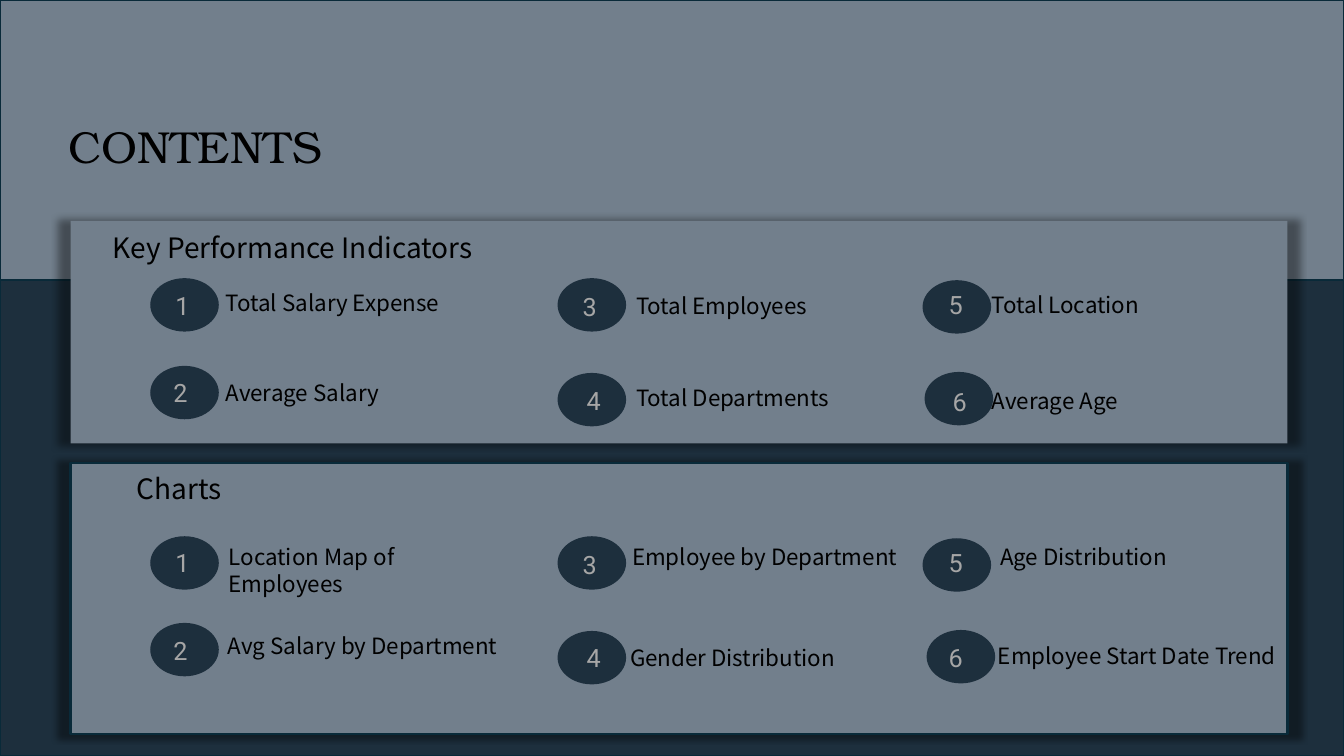
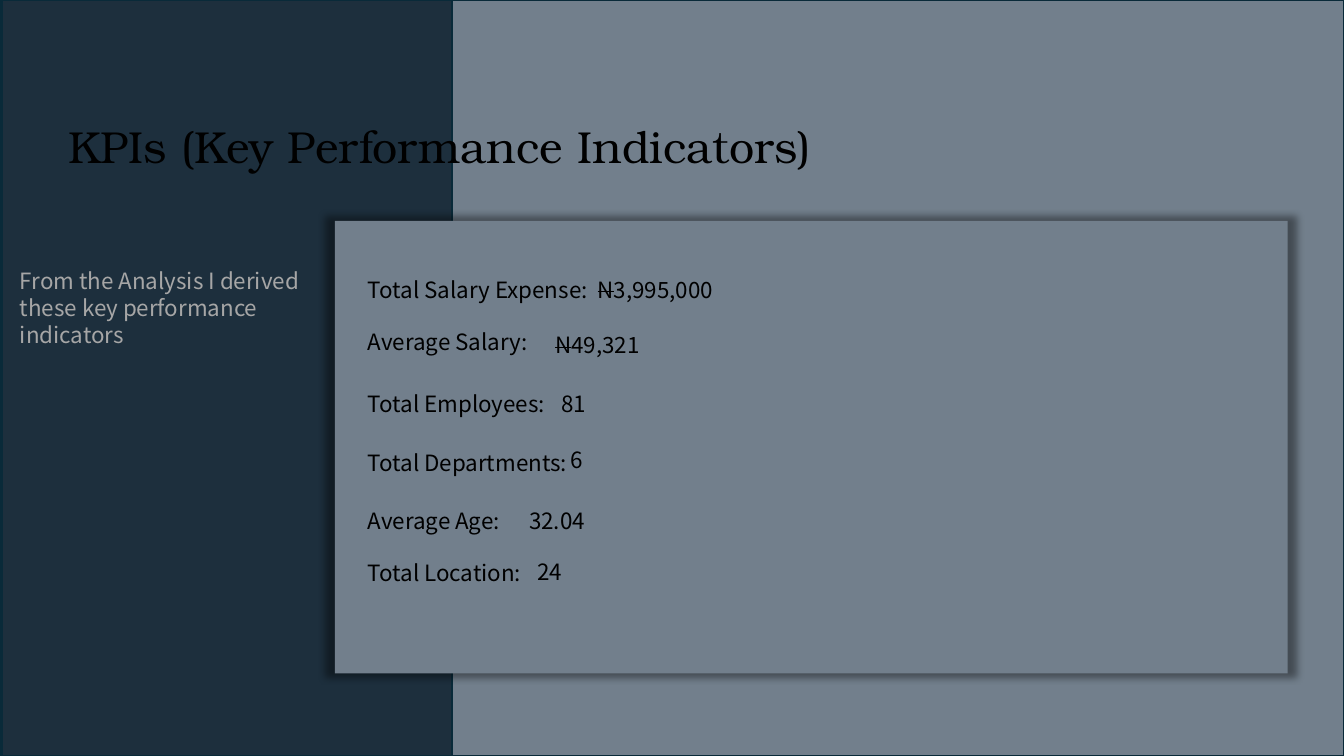
import typing
import lxml.etree
import pptx
import pptx.dml.color
import pptx.enum.shapes
import pptx.enum.text
import pptx.oxml.ns
import pptx.util

EMU_PER_PX = 9144
PAGE_WIDTH, PAGE_HEIGHT = 1333, 750
BADGE_WIDTH, BADGE_HEIGHT = 68, 53
DIGIT_WIDTH, DIGIT_HEIGHT = 42, 40
LABEL_HEIGHT = 37
HEADING_HEIGHT = 44
KPI_LEFT = 355

COLORS = {
    "slate": "727F8C",
    "navy": "1D2F3D",
    "outline": "092A39",
    "ink": "000000",
    "silver": "A6A6A6",
}
BODY_FONT = "Noto Sans CJK JP"
STYLES = {
    "title": ({"name": "TeX Gyre Bonum", "size": pptx.util.Pt(32)}, "ink"),
    "heading": ({"name": BODY_FONT, "size": pptx.util.Pt(20)}, "ink"),
    "label": ({"name": BODY_FONT, "size": pptx.util.Pt(16)}, "ink"),
    "aside": ({"name": BODY_FONT, "size": pptx.util.Pt(16)}, "silver"),
    "digit": ({"name": "Roboto", "size": pptx.util.Pt(18)}, "silver"),
}
SHADOW = {
    "blurRad": "63500",
    "sx": "102000",
    "sy": "102000",
    "algn": "ctr",
    "rotWithShape": "0",
}
RECTANGLE = pptx.enum.shapes.MSO_SHAPE.RECTANGLE
OVAL = pptx.enum.shapes.MSO_SHAPE.OVAL


class Frame(typing.NamedTuple):
    left: int
    top: int
    width: int
    height: int


class Entry(typing.NamedTuple):
    number: int
    badge: tuple[int, int]
    digit: tuple[int, int]
    label: tuple[int, int, int]
    text: str


class Indicator(typing.NamedTuple):
    name: str
    top: int
    width: int
    value: str
    value_left: int
    value_top: int
    value_width: int
    currency: str = ""


KPI_ENTRIES = [
    Entry(1, (149, 276), (164, 283), (214, 282, 266), "Total Salary Expense"),
    Entry(2, (149, 363), (162, 369), (214, 371, 220), "Average Salary"),
    Entry(3, (553, 276), (568, 284), (621, 285, 245), "Total Employees"),
    Entry(4, (553, 370), (572, 377), (621, 376, 265), "Total Departments"),
    Entry(5, (915, 278), (931, 282), (974, 284, 353), "Total Location"),
    Entry(6, (917, 369), (935, 378), (974, 379, 353), "Average Age"),
]
CHART_ENTRIES = [
    Entry(1, (149, 532), (164, 538), (217, 534, 302), "Location Map of Employees"),
    Entry(2, (149, 618), (162, 625), (216, 622, 302), "Avg Salary by Department"),
    Entry(3, (553, 532), (568, 540), (617, 534, 302), "Employee by Department"),
    Entry(4, (553, 626), (572, 632), (615, 634, 302), "Gender Distribution"),
    Entry(5, (915, 534), (931, 538), (982, 534, 302), "Age Distribution"),
    Entry(6, (919, 625), (931, 632), (980, 632, 297), "Employee Start Date Trend"),
]
INDICATORS = [
    Indicator("Total Salary Expense:", 269, 239, "3,995,000", 583, 269, 147, "N"),
    Indicator("Average Salary:", 321, 185, "49,321", 541, 324, 120, "N"),
    Indicator("Total Employees:", 382, 245, "81", 547, 382, 120),
    Indicator("Total Departments:", 441, 265, "6", 556, 438, 120),
    Indicator("Average Age:", 498, 353, "32.04", 515, 498, 120),
    Indicator("Total Location:", 550, 177, "24", 523, 549, 77),
]


def px(length: int) -> pptx.util.Emu:
    return pptx.util.Emu(length * EMU_PER_PX)


def color(name: str) -> pptx.dml.color.RGBColor:
    return pptx.dml.color.RGBColor.from_string(COLORS[name])


def add_block(page, kind, frame: Frame, fill: str, outlined: bool = False):
    block = page.shapes.add_shape(kind, *map(px, frame))
    block.shadow.inherit = False
    block.fill.solid()
    block.fill.fore_color.rgb = color(fill)
    if outlined:
        block.line.color.rgb = color("outline")
        block.line.width = pptx.util.Pt(1.5)
    else:
        block.line.fill.background()
    return block


def add_panel(page, frame: Frame, outlined: bool = False) -> None:
    panel = add_block(page, RECTANGLE, frame, "slate", outlined)
    qn = pptx.oxml.ns.qn
    effects = panel._element.spPr.find(qn("a:effectLst"))
    shadow = lxml.etree.SubElement(effects, qn("a:outerShdw"), SHADOW)
    tint = lxml.etree.SubElement(shadow, qn("a:srgbClr"), val=COLORS["ink"])
    lxml.etree.SubElement(tint, qn("a:alpha"), val="40000")


def add_span(para, text: str, style: str):
    span = para.add_run()
    span.text = text
    values, ink = STYLES[style]
    for name, value in values.items():
        setattr(span.font, name, value)
    span.font.color.rgb = color(ink)
    return span


def add_text(page, frame: Frame, text: str, style: str, struck: str = "") -> None:
    box = page.shapes.add_textbox(*map(px, frame))
    box.text_frame.word_wrap = True
    box.text_frame.auto_size = pptx.enum.text.MSO_AUTO_SIZE.SHAPE_TO_FIT_TEXT
    para = box.text_frame.paragraphs[0]
    if struck:
        span = add_span(para, struck, style)
        span._r.get_or_add_rPr().set("strike", "sngStrike")
    add_span(para, text, style)


def add_page(deck, band: Frame, title: str, title_width: int):
    page = deck.slides.add_slide(deck.slide_layouts[6])
    add_block(page, RECTANGLE, Frame(0, 0, PAGE_WIDTH, PAGE_HEIGHT), "slate", True)
    add_block(page, RECTANGLE, band, "navy", True)
    add_text(page, Frame(58, 113, title_width, 64), title, "title")
    return page


def add_entry(page, entry: Entry) -> None:
    add_block(page, OVAL, Frame(*entry.badge, BADGE_WIDTH, BADGE_HEIGHT), "navy")
    digit_frame = Frame(*entry.digit, DIGIT_WIDTH, DIGIT_HEIGHT)
    add_text(page, digit_frame, str(entry.number), "digit")
    add_text(page, Frame(*entry.label, LABEL_HEIGHT), entry.text, "label")


def add_indicator(page, item: Indicator) -> None:
    name_frame = Frame(KPI_LEFT, item.top, item.width, LABEL_HEIGHT)
    value_frame = Frame(
        item.value_left, item.value_top, item.value_width, LABEL_HEIGHT
    )
    add_text(page, name_frame, item.name, "label")
    add_text(page, value_frame, item.value, "label", item.currency)


def build_contents(deck) -> None:
    page = add_page(deck, Frame(0, 278, PAGE_WIDTH, 472), "CONTENTS", 311)
    add_panel(page, Frame(70, 219, 1207, 221))
    add_panel(page, Frame(70, 459, 1207, 269), outlined=True)
    kpi_heading = Frame(102, 224, 395, HEADING_HEIGHT)
    add_text(page, kpi_heading, "Key Performance Indicators", "heading")
    add_text(page, Frame(126, 463, 158, HEADING_HEIGHT), "Charts", "heading")
    for entry in KPI_ENTRIES + CHART_ENTRIES:
        add_entry(page, entry)


def build_kpis(deck) -> None:
    band = Frame(2, 0, 446, PAGE_HEIGHT)
    page = add_page(deck, band, "KPIs (Key Performance Indicators)", 914)
    add_panel(page, Frame(332, 219, 945, 449))
    add_text(
        page,
        Frame(10, 260, 330, 91),
        "From the Analysis I derived these key performance indicators",
        "aside",
    )
    for item in INDICATORS:
        add_indicator(page, item)


def main() -> None:
    deck = pptx.Presentation()
    deck.slide_width = px(PAGE_WIDTH)
    deck.slide_height = px(PAGE_HEIGHT)
    build_contents(deck)
    build_kpis(deck)
    deck.save("out.pptx")


if __name__ == "__main__":
    main()
